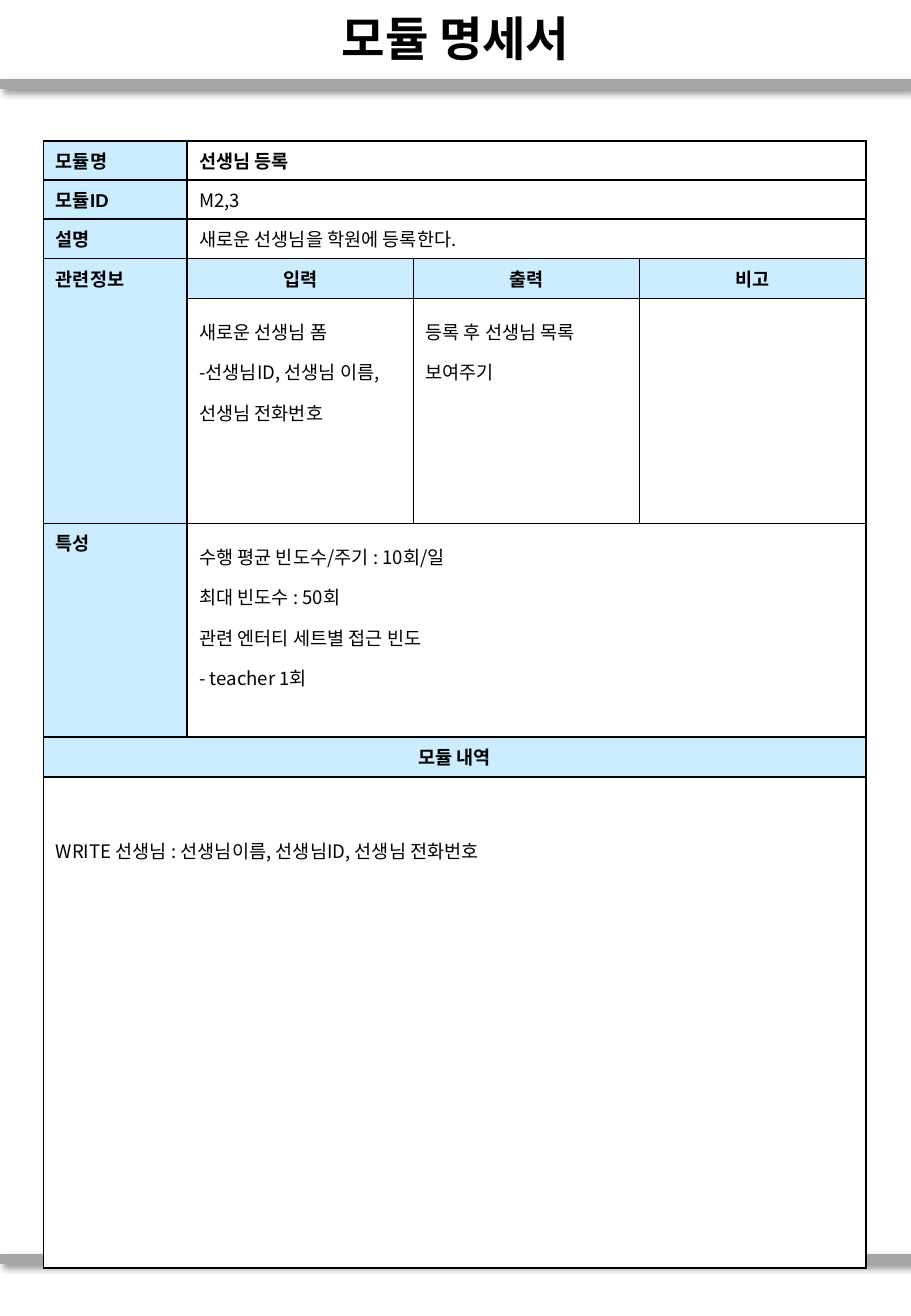
from lxml import etree
from pptx import Presentation
from pptx.dml.color import RGBColor
from pptx.enum.shapes import MSO_CONNECTOR
from pptx.enum.text import MSO_ANCHOR, PP_ALIGN
from pptx.oxml.ns import qn
from pptx.util import Inches, Pt

STRAIGHT = MSO_CONNECTOR.STRAIGHT
MIDDLE, TOP = MSO_ANCHOR.MIDDLE, MSO_ANCHOR.TOP
LEFT, CENTER = PP_ALIGN.LEFT, PP_ALIGN.CENTER
COLORS = {"text": "000000", "label": "CCECFF", "plain": "FFFFFF", "rule": "A6A6A6"}
LABEL_FONT, BODY_FONT = "Arial", "Noto Sans CJK KR"
SLIDE_WIDTH, SLIDE_HEIGHT = 7.5, 10.83
TABLE_LEFT, TABLE_TOP, TABLE_WIDTH = 0.36, 1.16, 6.77
LABEL_WIDTH = 1.18
ROW_HEIGHTS = [0.32, 0.32, 0.32, 0.33, 1.85, 1.76, 0.33, 4.04]
MERGES = [
    ((0, 1), (0, 3)), ((1, 1), (1, 3)), ((2, 1), (2, 3)), ((3, 0), (4, 0)),
    ((5, 1), (5, 3)), ((6, 0), (6, 3)), ((7, 0), (7, 3)),
]
LABELS = [(0, "모듈명"), (1, "모듈ID"), (2, "설명"), (3, "관련정보"), (5, "특성")]
HEADERS = [(3, 1, "입력"), (3, 2, "출력"), (3, 3, "비고"), (6, 0, "모듈 내역")]
DETAILS = [
    (4, 1, ["새로운 선생님 폼", "-선생님ID, 선생님 이름, 선생님 전화번호"], 1.5),
    (4, 2, ["등록 후 선생님 목록 보여주기"], 1.5),
    (5, 1, ["수행 평균 빈도수/주기 : 10회/일", "최대 빈도수 : 50회",
            "관련 엔터티 세트별 접근 빈도", "- teacher 1회"], 1.5),
    (7, 0, ["WRITE 선생님 : 선생님이름, 선생님ID, 선생님 전화번호"], 2.0),
]


def color(name):
    return RGBColor.from_string(COLORS[name])


def add_run(paragraph, text, size, font_name, bold):
    run = paragraph.add_run()
    run.text = text
    run.font.size = Pt(size)
    run.font.name = font_name
    run.font.bold = bold
    run.font.color.rgb = color("text")
    east_asian = etree.SubElement(run.font._element, qn("a:ea"))
    east_asian.set("typeface", BODY_FONT)


def add_rule(slide, top):
    rule = slide.shapes.add_connector(
        STRAIGHT, Inches(0), Inches(top), Inches(SLIDE_WIDTH), Inches(top))
    rule.line.color.rgb = color("rule")
    rule.line.width = Pt(6)
    effects = etree.SubElement(rule._element.spPr, qn("a:effectLst"))
    shadow = etree.SubElement(
        effects, qn("a:outerShdw"), blurRad=str(Pt(4)), dist=str(Pt(3)),
        dir="2700000", algn="tl", rotWithShape="0")
    shadow_color = etree.SubElement(shadow, qn("a:srgbClr"), val=COLORS["text"])
    etree.SubElement(shadow_color, qn("a:alpha"), val="40000")


def set_title(slide, text):
    title = slide.shapes.title
    title.left, title.top = Inches(0), Inches(0.01)
    title.width, title.height = Inches(SLIDE_WIDTH), Inches(0.6)
    title.text_frame.vertical_anchor = MIDDLE
    paragraph = title.text_frame.paragraphs[0]
    paragraph.alignment = CENTER
    add_run(paragraph, text, 28, BODY_FONT, True)


def style_cell(cell):
    properties = cell._tc.get_or_add_tcPr()
    for side in ("a:lnL", "a:lnR", "a:lnT", "a:lnB"):
        border = etree.SubElement(properties, qn(side), w=str(Pt(1)))
        fill = etree.SubElement(border, qn("a:solidFill"))
        etree.SubElement(fill, qn("a:srgbClr"), val=COLORS["text"])
    cell.vertical_anchor = TOP
    fill_cell(cell, "plain")


def fill_cell(cell, color_name):
    cell.fill.solid()
    cell.fill.fore_color.rgb = color(color_name)


def write_cell(cell, lines, font_name=BODY_FONT, bold=False, alignment=LEFT, spacing=1.0):
    frame = cell.text_frame
    for index, line in enumerate(lines):
        paragraph = frame.add_paragraph() if index else frame.paragraphs[0]
        paragraph.alignment = alignment
        paragraph.line_spacing = spacing
        add_run(paragraph, line, 11, font_name, bold)


def write_label(cell, text, alignment=LEFT):
    fill_cell(cell, "label")
    write_cell(cell, [text], LABEL_FONT, True, alignment)


def add_module_table(slide):
    frame = slide.shapes.add_table(
        len(ROW_HEIGHTS), 4, Inches(TABLE_LEFT), Inches(TABLE_TOP),
        Inches(TABLE_WIDTH), Inches(sum(ROW_HEIGHTS)))
    table = frame.table
    table.first_row = table.horz_banding = False
    for index, column in enumerate(table.columns):
        column.width = Inches((TABLE_WIDTH - LABEL_WIDTH) / 3 if index else LABEL_WIDTH)
    for row, height in zip(table.rows, ROW_HEIGHTS):
        row.height = Inches(height)
    for cell in table.iter_cells():
        style_cell(cell)
    for first, last in MERGES:
        table.cell(*first).merge(table.cell(*last))
    for row, text in LABELS:
        write_label(table.cell(row, 0), text)
    for row, column, text in HEADERS:
        write_label(table.cell(row, column), text, CENTER)
    write_cell(table.cell(0, 1), ["선생님 등록"], bold=True)
    write_cell(table.cell(1, 1), ["M2,3"])
    write_cell(table.cell(2, 1), ["새로운 선생님을 학원에 등록한다."])
    for row, column, lines, spacing in DETAILS:
        write_cell(table.cell(row, column), lines, spacing=spacing)
    table.cell(7, 0).margin_top = Inches(0.27)


def main():
    presentation = Presentation()
    presentation.slide_width = Inches(SLIDE_WIDTH)
    presentation.slide_height = Inches(SLIDE_HEIGHT)
    slide = presentation.slides.add_slide(presentation.slide_layouts[5])
    for top in (0.69, 10.36):
        add_rule(slide, top)
    set_title(slide, "모듈 명세서")
    add_module_table(slide)
    presentation.save("out.pptx")


if __name__ == "__main__":
    main()
